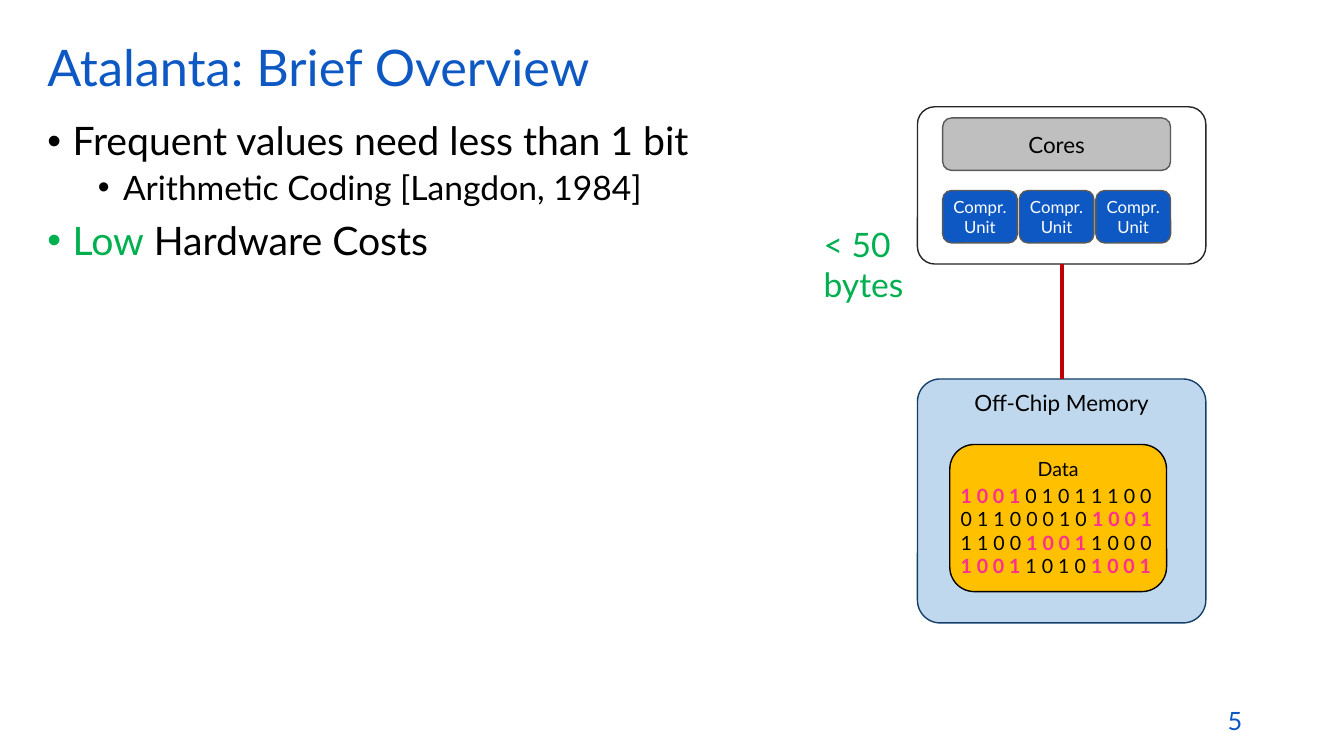
from lxml import etree
from pptx import Presentation
from pptx.dml.color import RGBColor
from pptx.enum.shapes import MSO_CONNECTOR, MSO_SHAPE
from pptx.enum.text import MSO_ANCHOR, MSO_AUTO_SIZE, PP_ALIGN
from pptx.oxml.ns import qn
from pptx.util import Inches, Pt

ROUNDED, STRAIGHT = MSO_SHAPE.ROUNDED_RECTANGLE, MSO_CONNECTOR.STRAIGHT
TOP, MIDDLE = MSO_ANCHOR.TOP, MSO_ANCHOR.MIDDLE
LEFT, CENTER, RIGHT = PP_ALIGN.LEFT, PP_ALIGN.CENTER, PP_ALIGN.RIGHT
NO_FIT = MSO_AUTO_SIZE.NONE

FONT = "Lato"
BLACK = RGBColor(0x00, 0x00, 0x00)
WHITE = RGBColor(0xFF, 0xFF, 0xFF)
BLUE = RGBColor(0x0E, 0x58, 0xC4)
GREEN = RGBColor(0x00, 0xB0, 0x50)
PINK = RGBColor(0xFF, 0x2F, 0x92)
RED = RGBColor(0xC0, 0x00, 0x00)
GOLD = RGBColor(0xFF, 0xC0, 0x00)
PALE_BLUE = RGBColor(0xC0, 0xD8, 0xED)
NAVY = RGBColor(0x14, 0x3F, 0x6A)
GRAY = RGBColor(0xBF, 0xBF, 0xBF)
DARK_GRAY = RGBColor(0x59, 0x59, 0x59)
CHARCOAL = RGBColor(0x26, 0x26, 0x26)

TITLE = "Atalanta: Brief Overview"
# level, runs of (text, colour)
POINTS = [
    (0, [("Frequent values need less than 1 bit", BLACK)]),
    (1, [("Arithmetic Coding [Langdon, 1984]", BLACK)]),
    (0, [("Low", GREEN), (" Hardware Costs", BLACK)]),
]
# per level: size, space before, left margin in inches
LEVELS = [(28, 10, 0.25), (24, 5, 0.75)]
HANGING = 0.25
UNIT_LABEL, UNIT_COUNT = "Compr. Unit", 3
DATA_ROWS = ["1001 0101 1100", "0110 0010 1001", "1100 1001 1000", "1001 1010 1001"]
FREQUENT = "1001"
COST = "< 50 bytes"
SLIDE_NUMBER = "5"

prs = Presentation()
prs.slide_width, prs.slide_height = Inches(13.33), Inches(7.5)
slide = prs.slides.add_slide(prs.slide_layouts[1])
shapes = slide.shapes


def set_all(target, **values):
    for key, value in values.items():
        setattr(target, key, value)


def place(part, left, top, width, height):
    set_all(part, left=Inches(left), top=Inches(top),
            width=Inches(width), height=Inches(height))


def add_run(paragraph, text, size, color, bold=False):
    run = paragraph.add_run()
    run.text = text
    set_all(run.font, name=FONT, size=Pt(size), bold=bold)
    run.font.color.rgb = color


def add_text(left, top, width, height, anchor=TOP):
    frame = shapes.add_textbox(*map(Inches, (left, top, width, height))).text_frame
    set_all(frame, word_wrap=True, vertical_anchor=anchor)
    return frame


def add_block(box, line, fill=None, label="", size=16, color=BLACK,
              anchor=MIDDLE, margin_top=0.05, corner=0.1667):
    """Rounded block with a centred label; no fill colour leaves it open."""
    block = shapes.add_shape(ROUNDED, *map(Inches, box))
    block.shadow.inherit = False
    block.adjustments[0] = corner
    if fill is None:
        block.fill.background()
    else:
        block.fill.solid()
        block.fill.fore_color.rgb = fill
    block.line.color.rgb = line
    block.line.width = Pt(1)
    if label:
        frame = block.text_frame
        set_all(frame, word_wrap=True, vertical_anchor=anchor, margin_left=0,
                margin_right=0, margin_top=Inches(margin_top))
        frame.paragraphs[0].alignment = CENTER
        add_run(frame.paragraphs[0], label, size, color)
    return block


# Title and points
title = shapes.title
place(title, 0.37, 0.24, 12.58, 0.92)
set_all(title.text_frame, vertical_anchor=MIDDLE, auto_size=NO_FIT)
heading = title.text_frame.paragraphs[0]
set_all(heading, alignment=LEFT, line_spacing=0.9)
add_run(heading, TITLE, 36, BLUE)

body = slide.placeholders[1]
place(body, 0.37, 1.16, 12.58, 6.1)
body.text_frame.auto_size = NO_FIT
for index, (level, runs) in enumerate(POINTS):
    point = body.text_frame.add_paragraph() if index else body.text_frame.paragraphs[0]
    size, before, margin = LEVELS[level]
    set_all(point, level=level, line_spacing=0.9, space_before=Pt(before if index else 0))
    properties = point._p.get_or_add_pPr()
    properties.set("marL", str(Inches(margin)))
    properties.set("indent", str(-Inches(HANGING)))
    etree.SubElement(properties, qn("a:buFont")).set("typeface", "Arial")
    etree.SubElement(properties, qn("a:buChar")).set("char", "•")
    for text, color in runs:
        add_run(point, text, size, color)

# Chip: cores above a row of compression units
chip = add_block((9.1, 1.06, 2.86, 1.56), CHARCOAL, corner=0.11)
cores_left, cores_width, core_height = 9.35, 2.26, 0.52
add_block((cores_left, 1.17, cores_width, core_height), DARK_GRAY, GRAY, "Cores")
unit_width = 0.74
unit_step = (cores_width - unit_width) / (UNIT_COUNT - 1)
for index in range(UNIT_COUNT):
    add_block((cores_left + index * unit_step, 1.89, unit_width, core_height),
              DARK_GRAY, BLUE, UNIT_LABEL, 12, WHITE)

# Memory and the link from the chip
memory = add_block((9.1, 3.76, 2.86, 2.42), NAVY, PALE_BLUE, "Off-Chip Memory",
                   anchor=TOP, margin_top=0.03, corner=0.093)
link = shapes.add_connector(STRAIGHT, 0, 0, 0, 0)
link.begin_connect(chip, 2)
link.end_connect(memory, 0)
link.line.color.rgb = RED
link.line.width = Pt(3)
etree.SubElement(link._element.spPr, qn("a:effectLst"))

# Stored data, with the frequent value highlighted
add_block((9.42, 4.41, 2.15, 1.46), BLACK, GOLD, "Data", 14, anchor=TOP)
bits = add_text(9.43, 4.75, 2.15, 1.1)
for index, row in enumerate(DATA_ROWS):
    line = bits.add_paragraph() if index else bits.paragraphs[0]
    values = row.split()
    for position, value in enumerate(values, 1):
        frequent = value == FREQUENT
        gap = " " if position < len(values) else ""
        add_run(line, " ".join(value) + gap, 14, PINK if frequent else BLACK, frequent)

add_run(add_text(8.07, 2.17, 1.36, 0.91).paragraphs[0], COST, 24, GREEN)

number = add_text(9.42, 6.95, 3, 0.4, MIDDLE).paragraphs[0]
number.alignment = RIGHT
add_run(number, SLIDE_NUMBER, 18, BLUE)

prs.save("out.pptx")
